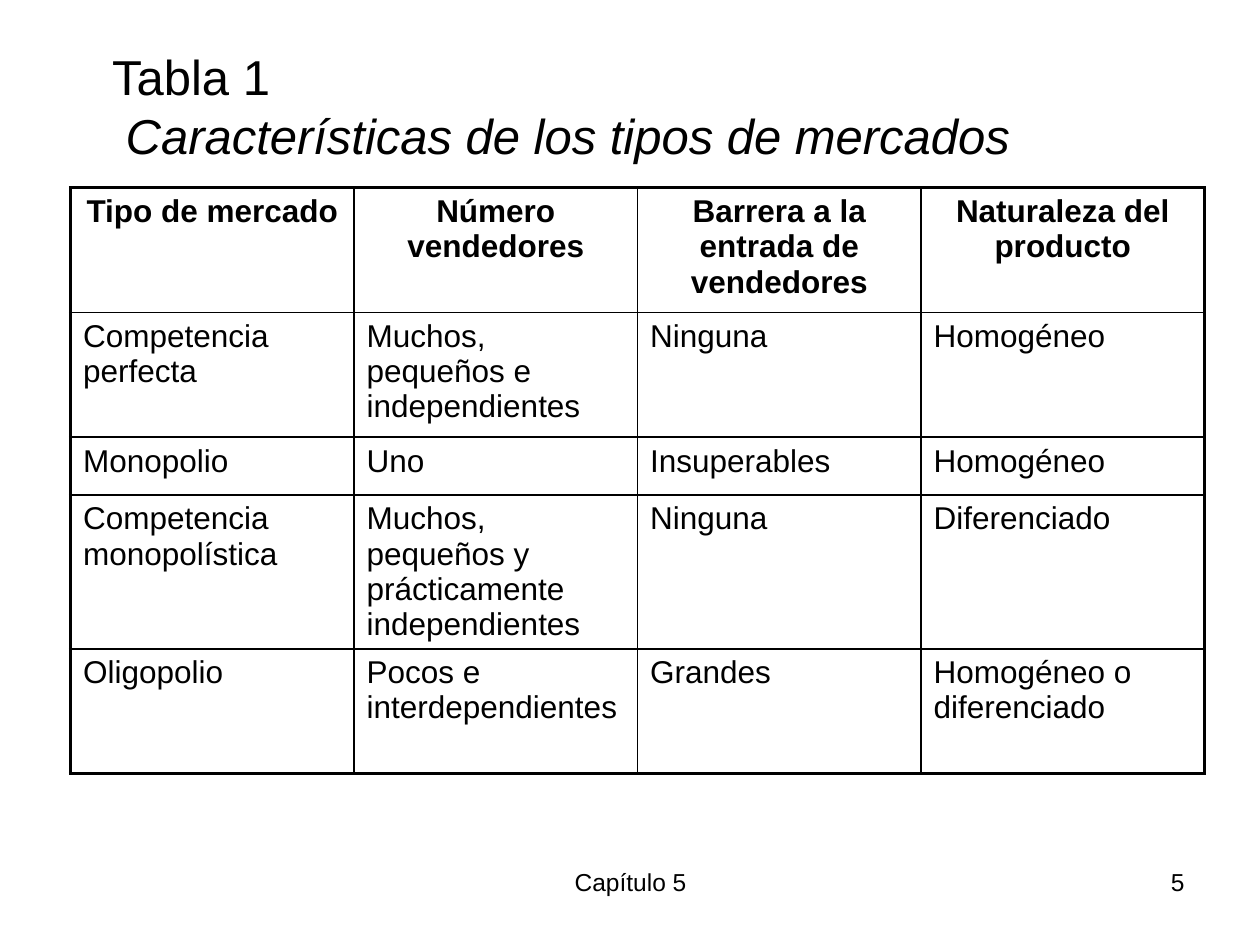
"""Build the slide that compares the types of market in a table."""
from dataclasses import dataclass

import lxml.etree
import pptx
import pptx.dml.color
import pptx.enum.text
import pptx.oxml.ns
import pptx.util

Inches = pptx.util.Inches
Align = pptx.enum.text.PP_ALIGN
BLACK = "000000"
OUTER_WIDTH = 2.25
INNER_WIDTH = 1
COLUMN_WIDTH = 2.25
ROW_HEIGHTS = [0.99, 0.99, 0.46, 0.99, 0.99]
MARKET_ROWS = [
    ["Tipo de mercado", "Número vendedores", "Barrera a la entrada de vendedores", "Naturaleza del producto"],
    ["Competencia perfecta", "Muchos, pequeños e independientes", "Ninguna", "Homogéneo"],
    ["Monopolio", "Uno", "Insuperables", "Homogéneo"],
    ["Competencia monopolística", "Muchos, pequeños y prácticamente independientes", "Ninguna", "Diferenciado"],
    ["Oligopolio", "Pocos e interdependientes", "Grandes", "Homogéneo o diferenciado"],
]


@dataclass
class FooterText:
    text: str
    left: float
    width: float
    alignment: Align


FOOTERS = [
    FooterText("Capítulo 5", 3.42, 3.17, Align.CENTER),
    FooterText("5", 7.17, 2.33, Align.RIGHT),
]


def color(value: str) -> pptx.dml.color.RGBColor:
    """Return the colour for a hex string."""
    return pptx.dml.color.RGBColor.from_string(value)


def format_text(text_frame, size: float, alignment: Align, bold: bool = False) -> None:
    """Format every run of a text frame."""
    for paragraph in text_frame.paragraphs:
        paragraph.alignment = alignment
        for run in paragraph.runs:
            run.font.name = "Arial"
            run.font.size = pptx.util.Pt(size)
            run.font.bold = bold
            run.font.color.rgb = color(BLACK)


def add_border(cell, side: str, width: float) -> None:
    """Add a solid black border to one side of a cell."""
    qualified_name = pptx.oxml.ns.qn
    properties = cell._tc.get_or_add_tcPr()
    line = lxml.etree.SubElement(properties, qualified_name(f"a:ln{side}"), w=str(pptx.util.Pt(width)))
    fill = lxml.etree.SubElement(line, qualified_name("a:solidFill"))
    lxml.etree.SubElement(fill, qualified_name("a:srgbClr"), val=BLACK)


def add_title(slide) -> None:
    """Place and format the two-line title."""
    title = slide.shapes.title
    title.left, title.top = Inches(0.79), Inches(0.59)
    title.width, title.height = Inches(9.5), Inches(0.49)
    text_frame = title.text_frame
    text_frame.text = "Tabla 1\v Características de los tipos de mercados"
    text_frame.auto_size = pptx.enum.text.MSO_AUTO_SIZE.NONE
    text_frame.vertical_anchor = pptx.enum.text.MSO_ANCHOR.MIDDLE
    format_text(text_frame, 28, Align.LEFT)
    text_frame.paragraphs[0].runs[-1].font.italic = True


def add_market_table(slide) -> None:
    """Add the table with a thick outer frame and thin inner lines."""
    row_count, column_count = len(MARKET_ROWS), len(MARKET_ROWS[0])
    table = slide.shapes.add_table(
        row_count, column_count, Inches(0.56), Inches(1.49),
        Inches(COLUMN_WIDTH * column_count), Inches(sum(ROW_HEIGHTS))).table
    table.first_row = False
    table.horz_banding = False
    for column in table.columns:
        column.width = Inches(COLUMN_WIDTH)
    for row_index, (texts, height) in enumerate(zip(MARKET_ROWS, ROW_HEIGHTS)):
        table.rows[row_index].height = Inches(height)
        is_header = row_index == 0
        for column_index, text in enumerate(texts):
            cell = table.cell(row_index, column_index)
            cell.text_frame.text = text
            format_text(cell.text_frame, 18, Align.CENTER if is_header else Align.LEFT, is_header)
            outer_sides = {
                "L": column_index == 0,
                "R": column_index == column_count - 1,
                "T": is_header,
                "B": row_index == row_count - 1,
            }
            for side, is_outer in outer_sides.items():
                add_border(cell, side, OUTER_WIDTH if is_outer else INNER_WIDTH)
            cell.fill.background()


def add_footer(slide, footer: FooterText) -> None:
    """Add one text at the foot of the slide."""
    shape = slide.shapes.add_textbox(Inches(footer.left), Inches(6.83), Inches(footer.width), Inches(0.52))
    shape.text_frame.word_wrap = True
    shape.text_frame.text = footer.text
    format_text(shape.text_frame, 14, footer.alignment)


def main() -> None:
    """Create the presentation and save it."""
    presentation = pptx.Presentation()
    presentation.slide_width, presentation.slide_height = Inches(10), Inches(7.5)
    slide = presentation.slides.add_slide(presentation.slide_layouts.get_by_name("Title Only"))
    add_title(slide)
    add_market_table(slide)
    for footer in FOOTERS:
        add_footer(slide, footer)
    presentation.save("out.pptx")


if __name__ == "__main__":
    main()
